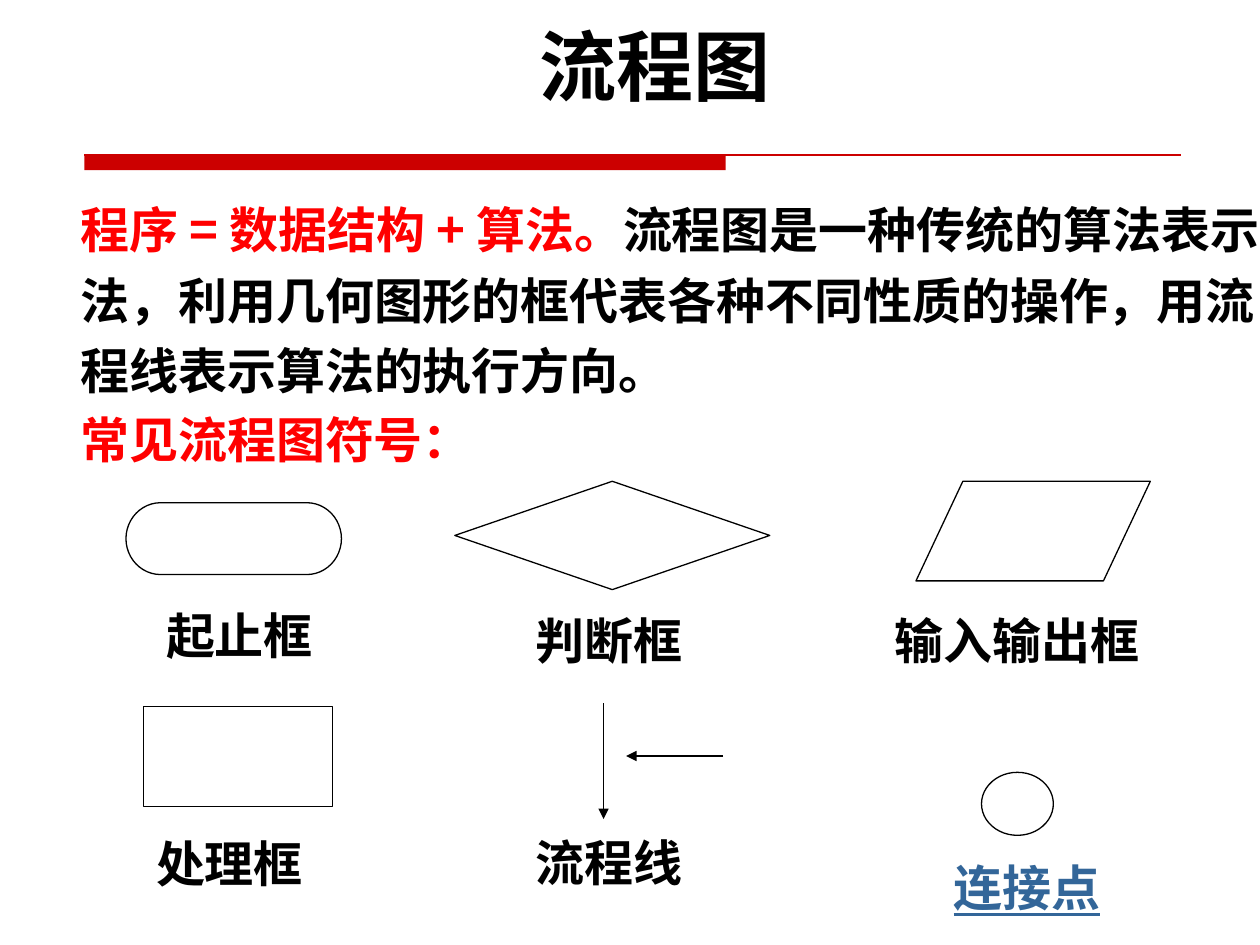
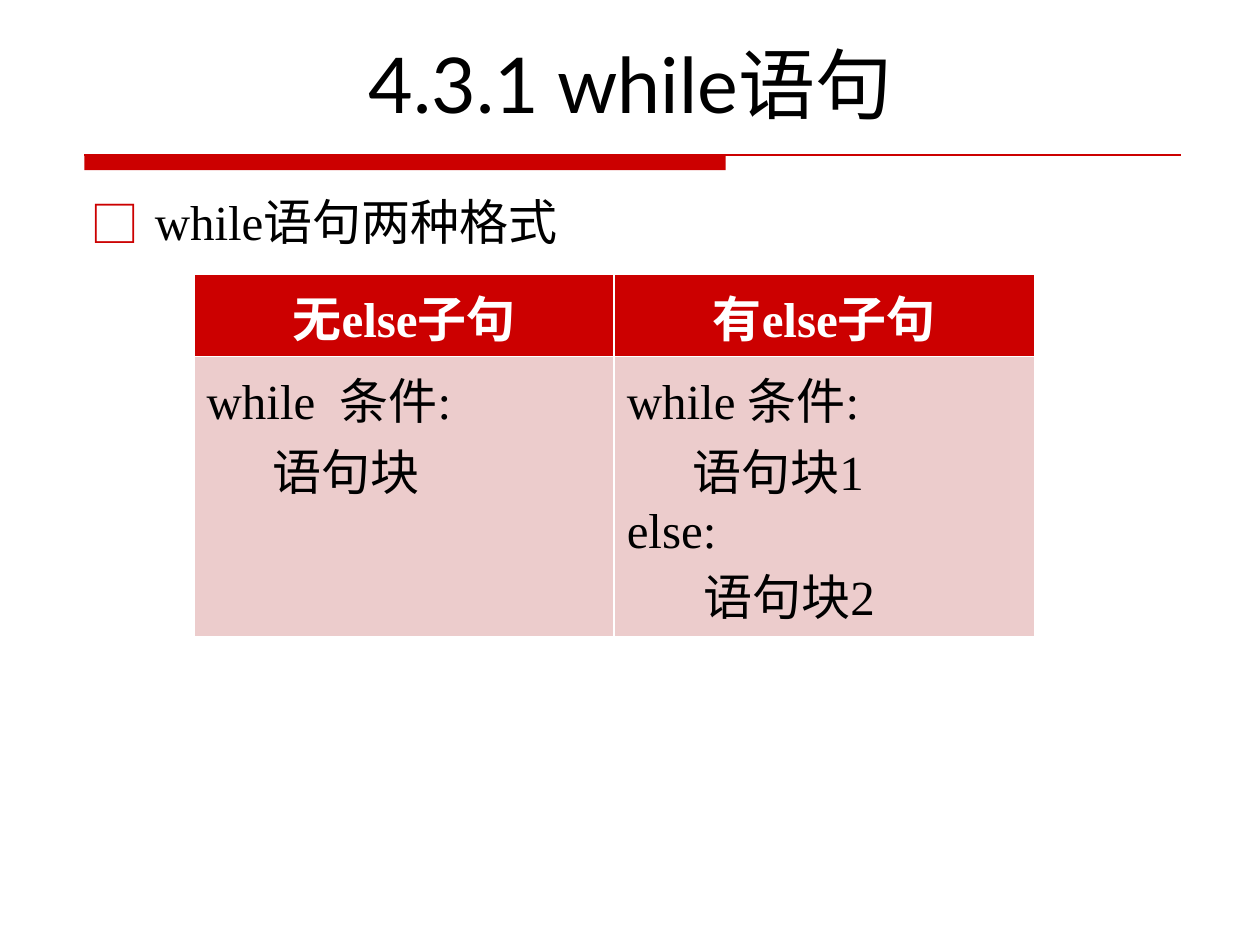
from lxml.etree import SubElement
from pptx import Presentation
from pptx.dml.color import RGBColor
from pptx.enum.shapes import MSO_CONNECTOR, MSO_SHAPE
from pptx.enum.text import MSO_ANCHOR, PP_ALIGN
from pptx.oxml.ns import qn
from pptx.util import Inches, Pt

COLORS = {
    "accent": "CC0000",
    "emphasis": "FF0000",
    "ink": "000000",
    "paper": "FFFFFF",
    "link": "336699",
    "cell": "ECCCCC",
}
TITLE_FONT = "Lato"
BODY_FONT = "Times New Roman"
CJK_FONT = "Noto Sans CJK KR"
LABEL_HEIGHT = 0.57


def rgb(name):
    """Return a palette colour."""
    return RGBColor.from_string(COLORS[name])


def inches(*lengths):
    """Convert numbers to lengths."""
    return [Inches(length) for length in lengths]


def style(paragraph, color="ink", size=28, family=BODY_FONT, bold=False):
    """Set the font of a whole paragraph."""
    font = paragraph.font
    font.name, font.size, font.bold = family, Pt(size), bold
    font.color.rgb = rgb(color)


def add_text(slide, box, text=""):
    """Add a wrapping text box and return its first paragraph."""
    frame = slide.shapes.add_textbox(*inches(*box)).text_frame
    frame.word_wrap = True
    paragraph = frame.paragraphs[0]
    paragraph.text = text
    return paragraph


def add_line(slide, start, end, color="ink", arrow=False):
    """Draw a thin straight line, with an arrowhead if asked."""
    line = slide.shapes.add_connector(MSO_CONNECTOR.STRAIGHT, *inches(*start, *end))
    line.line.width = Pt(0.75)
    line.line.color.rgb = rgb(color)
    properties = line._element.spPr
    if arrow:
        SubElement(properties.find(qn("a:ln")), qn("a:tailEnd"), type="triangle")
    SubElement(properties, qn("a:effectLst"))


def add_outline(slide, kind, box, fill="paper", line="ink"):
    """Add a flat preset shape."""
    shape = slide.shapes.add_shape(kind, *inches(*box))
    shape.shadow.inherit = False
    shape.fill.solid()
    shape.fill.fore_color.rgb = rgb(fill)
    shape.line.width = Pt(0.75)
    shape.line.color.rgb = rgb(line)
    return shape


def add_rule(slide, left=0.67, top=1.23, width=8.7):
    """Draw the thick and thin rule under the title."""
    band = add_outline(slide, MSO_SHAPE.RECTANGLE, (left, top, 5.09, 0.12), "accent")
    band.line.fill.background()
    add_line(slide, (left, top), (left + width, top), "accent")


def start_slide(deck, text, box, anchor, bold=False):
    """Add a slide with its title and rule."""
    slide = deck.slides.add_slide(deck.slide_layouts[5])
    add_rule(slide)
    title = slide.shapes.title
    title.left, title.top, title.width, title.height = inches(*box)
    title.text_frame.text = text
    title.text_frame.vertical_anchor = anchor
    paragraph = title.text_frame.paragraphs[0]
    paragraph.alignment = PP_ALIGN.CENTER
    style(paragraph, size=44, family=TITLE_FONT, bold=bold)
    return slide


def add_intro(slide, box):
    """Add the definition of a flowchart and the heading of the symbols."""
    left, top, width, height = box
    definition = add_text(slide, box)
    definition.line_spacing = 1.2
    style(definition, family=CJK_FONT, bold=True)
    for text, color in (
        ("程序 = 数据结构 + 算法。", "emphasis"),
        ("流程图是一种传统的算法表示法，利用几何图形的框代表各种不同性质的操作，用流程线表示算法的执行方向。", "ink"),
    ):
        run = definition.add_run()
        run.text = text
        run.font.color.rgb = rgb(color)
    heading = add_text(slide, (left, top + 1.85, 5.04, 0.49), "常见流程图符号：")
    heading.line_spacing = 0.8
    style(heading, "emphasis", family=CJK_FONT, bold=True)


def add_label(slide, left, top, text, color="ink", width=1.43):
    """Add the bold name of a symbol."""
    label = add_text(slide, (left, top, width, LABEL_HEIGHT), text)
    style(label, color, bold=True)
    return label


def add_symbol(slide, kind, box, name, offset, color="ink", label_width=1.43):
    """Add a symbol with its name at an offset from its corner."""
    add_outline(slide, kind, box)
    return add_label(slide, box[0] + offset[0], box[1] + offset[1], name, color, label_width)


def add_flow_lines(slide, left, top):
    """Add the two flow arrows and their name."""
    add_line(slide, (left + 0.64, top), (left + 0.64, top + 0.92), arrow=True)
    add_line(slide, (left + 1.59, top + 0.42), (left + 0.82, top + 0.42), arrow=True)
    add_label(slide, left, top + 0.98, "流程线", width=1.64)


def add_symbols(slide, left, top):
    """Lay out the flowchart symbols below the heading."""
    symbols = (
        (MSO_SHAPE.FLOWCHART_TERMINATOR, (0, 0.17, 1.71, 0.57), "起止框", (0.22, 0.77)),
        (MSO_SHAPE.FLOWCHART_DECISION, (2.61, 0, 2.5, 0.86), "判断框", (0.54, 0.98)),
        (MSO_SHAPE.FLOWCHART_DATA, (6.27, 0, 1.86, 0.79), "输入输出框", (-0.27, 0.98), "ink", 2.25),
        (MSO_SHAPE.FLOWCHART_PROCESS, (0.14, 1.79, 1.5, 0.79), "处理框", (0, 0.96)),
    )
    for kind, (x, y, width, height), *rest in symbols:
        add_symbol(slide, kind, (left + x, top + y, width, height), *rest)
    connector_box = (left + 6.79, top + 2.31, 0.57, 0.5)
    connection = add_symbol(
        slide, MSO_SHAPE.FLOWCHART_CONNECTOR, connector_box, "连接点", (-0.32, 0.63), "link")
    connection.font.underline = True
    add_flow_lines(slide, left + 3.15, top + 1.76)


def add_bullet(slide, box, text):
    """Add a paragraph with a hollow square bullet."""
    paragraph = add_text(slide, box, text)
    properties = paragraph._p.get_or_add_pPr()
    properties.set("marL", str(Inches(0.51)))
    properties.set("indent", str(-Inches(0.51)))
    color = SubElement(properties, qn("a:buClr"))
    SubElement(color, qn("a:srgbClr"), val=COLORS["accent"])
    SubElement(properties, qn("a:buFont"), typeface=CJK_FONT)
    SubElement(properties, qn("a:buChar"), char="□")
    style(paragraph)


def add_formats(slide, box):
    """Add the table that compares the two forms of while."""
    rows = (
        ("无else子句", "有else子句"),
        ("while  条件:\n      语句块",
         "while 条件:\n      语句块1\nelse:\n       语句块2"),
    )
    table = slide.shapes.add_table(2, 2, *inches(*box)).table
    table.rows[0].height, table.rows[1].height = inches(0.65, box[3] - 0.65)
    for row, texts in enumerate(rows):
        header = row == 0
        for column, text in enumerate(texts):
            cell = table.cell(row, column)
            cell.text = text
            cell.fill.solid()
            cell.fill.fore_color.rgb = rgb("accent" if header else "cell")
            for paragraph in cell.text_frame.paragraphs:
                paragraph.alignment = PP_ALIGN.CENTER if header else PP_ALIGN.LEFT
                style(paragraph, "paper" if header else "ink", bold=header)


def build_flowchart_slide(deck):
    """Build the slide on flowchart symbols."""
    slide = start_slide(deck, "流程图", (3.4, 0.1, 3.6, 0.93), MSO_ANCHOR.TOP, bold=True)
    add_intro(slide, (0.54, 1.44, 9.68, 1.72))
    add_symbols(slide, 1, 3.82)


def build_while_slide(deck):
    """Build the slide on the while statement."""
    slide = start_slide(deck, "4.3.1 while语句", (0.63, 0, 8.75, 1.07), MSO_ANCHOR.BOTTOM)
    add_bullet(slide, (0.62, 1.47, 8.75, 0.65), "while语句两种格式")
    add_formats(slide, (1.54, 2.18, 6.67, 2.87))


def main():
    """Build and save the deck."""
    deck = Presentation()
    deck.slide_width, deck.slide_height = inches(10, 7.5)
    build_flowchart_slide(deck)
    build_while_slide(deck)
    deck.save("out.pptx")


if __name__ == "__main__":
    main()
